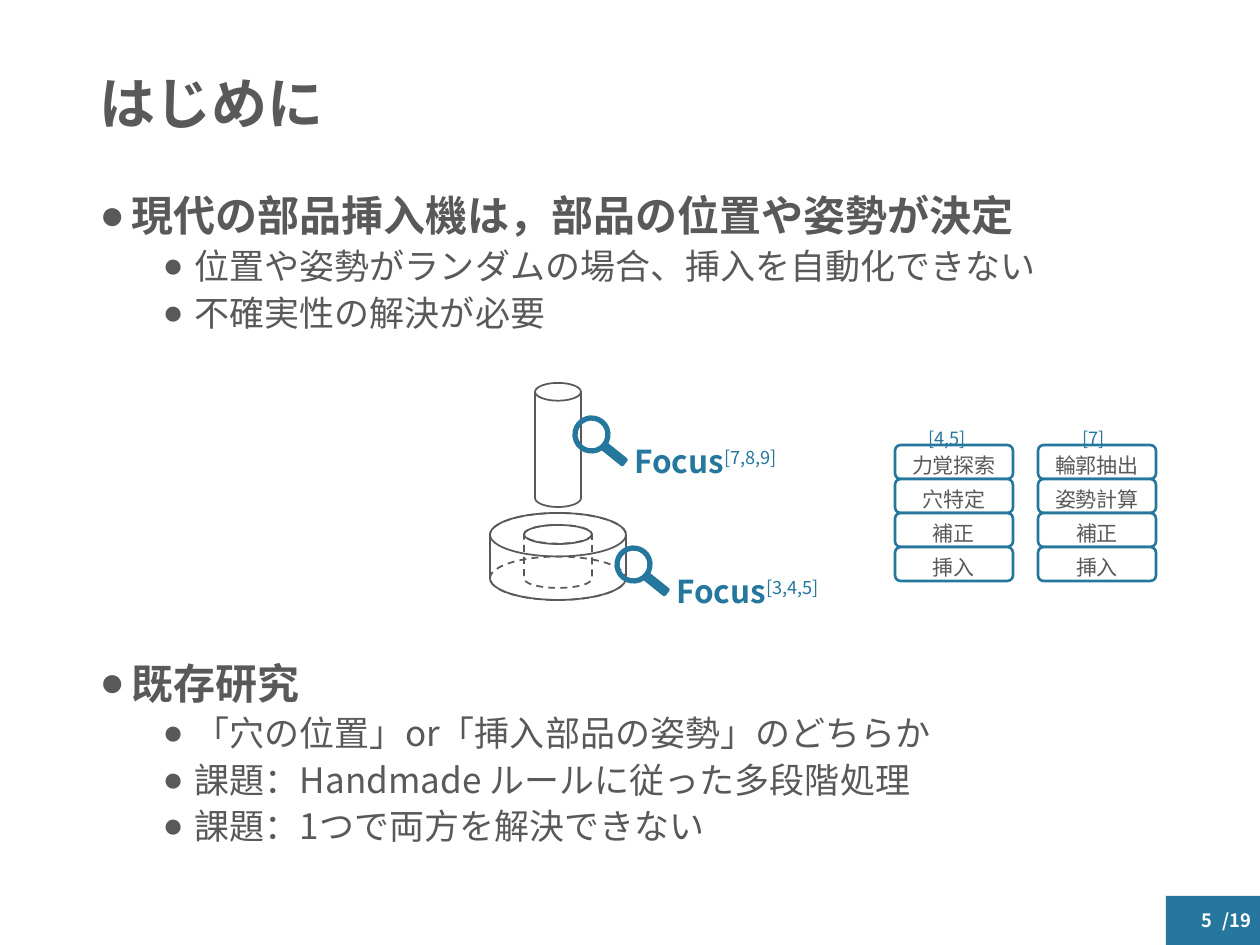
from lxml import etree
from pptx import Presentation
from pptx.dml.color import RGBColor
from pptx.enum.dml import MSO_LINE
from pptx.enum.shapes import MSO_SHAPE
from pptx.enum.text import MSO_ANCHOR, MSO_AUTO_SIZE, PP_ALIGN
from pptx.oxml.ns import qn
from pptx.util import Emu, Pt

CAN, OVAL = MSO_SHAPE.CAN, MSO_SHAPE.OVAL
RECT, ROUND = MSO_SHAPE.RECTANGLE, MSO_SHAPE.ROUNDED_RECTANGLE
DASH = MSO_LINE.DASH
TOP, MIDDLE = MSO_ANCHOR.TOP, MSO_ANCHOR.MIDDLE
LEFT, CENTER, RIGHT = PP_ALIGN.LEFT, PP_ALIGN.CENTER, PP_ALIGN.RIGHT
NONE = MSO_AUTO_SIZE.NONE

BLUE = RGBColor(0x26, 0x77, 0x9E)
GRAY = RGBColor(0x59, 0x59, 0x59)
WHITE = RGBColor(0xFF, 0xFF, 0xFF)
FACE = "Noto Sans CJK JP"
SCALE = 914400 / 126

TITLE = "はじめに"
BODY = [
    ("現代の部品挿入機は，部品の位置や姿勢が決定", [
        "位置や姿勢がランダムの場合、挿入を自動化できない",
        "不確実性の解決が必要",
    ]),
    ("既存研究", [
        "「穴の位置」or「挿入部品の姿勢」のどちらか",
        "課題：Handmade ルールに従った多段階処理",
        "課題：1つで両方を解決できない",
    ]),
]
GAP = 186
LEVELS = [(24, 28, 32, True), (20, 22.5, 95, False)]

PARTS = [
    (CAN, (490, 513, 136, 87), 0.5, None, 0, None),
    (CAN, (524, 525, 68, 63), 0.297, DASH, 0, None),
    (CAN, (490, 513, 136, 87), 0.5, DASH, 180, None),
    (OVAL, (524, 525, 68, 19), None, None, 0, None),
    (CAN, (535, 383, 46, 124), 0.386, None, 0, WHITE),
]
LENSES = [(575, 418, 266, "[7,8,9]"), (617, 548, 224, "[3,4,5]")]
TILT = 308.9
STACKS = [
    (895, 916, 88, "[4,5]", ["力覚探索", "穴特定", "補正", "挿入"]),
    (1038, 1070, 74, "[7]", ["輪郭抽出", "姿勢計算", "補正", "挿入"]),
]
ROW = 34


def px(n):
    return Emu(round(n * SCALE))


def place(item, box):
    item.left, item.top, item.width, item.height = map(px, box)


def style(par, size, color, bold=False, align=LEFT):
    par.alignment = align
    font = par.font
    font.size, font.bold, font.name = Pt(size), bold, FACE
    font.color.rgb = color
    latin = font._element.find(qn("a:latin"))
    east = etree.Element(qn("a:ea"), typeface=FACE)
    latin.addnext(east)


def raise_run(par, text):
    run = par.add_run()
    run.text = text
    run.font.bold = False
    run._r.get_or_add_rPr().set("baseline", "30000")


def label(box, text, size, color, bold=False, align=LEFT, anchor=TOP, note=""):
    frame = slide.shapes.add_textbox(*map(px, box)).text_frame
    frame.word_wrap, frame.vertical_anchor = True, anchor
    par = frame.paragraphs[0]
    style(par, size, color, bold, align)
    if text:
        par.add_run().text = text
    if note:
        raise_run(par, note)
    return frame


def shape(kind, box, fill=None, line=GRAY, width=1, turn=0):
    item = slide.shapes.add_shape(kind, *map(px, box))
    item.shadow.inherit = False
    item.rotation = turn
    if fill is None:
        item.fill.background()
    else:
        item.fill.solid()
        item.fill.fore_color.rgb = fill
    if line is None:
        item.line.fill.background()
    else:
        item.line.color.rgb = line
        item.line.width = Pt(width)
    return item


def bullet(par, text, level, before):
    size, height, indent, bold = LEVELS[level]
    par.text, par.level = text, level
    par.line_spacing, par.space_before = Pt(height), Pt(before)
    props = par._p.get_or_add_pPr()
    props.set("marL", str(px(indent)))
    props.set("indent", str(-px(32)))
    etree.SubElement(props, qn("a:buChar"), char="●")
    style(par, size, GRAY, bold)


deck = Presentation()
deck.slide_width, deck.slide_height = px(1260), px(945)
slide = deck.slides.add_slide(deck.slide_layouts[1])

title, body = slide.placeholders
place(title, (87, 50, 1086, 112))
title.text_frame.text = TITLE
title.text_frame.auto_size = NONE
title.text_frame.vertical_anchor = MIDDLE
title.text_frame.paragraphs[0].line_spacing = 0.9
style(title.text_frame.paragraphs[0], 32, GRAY, True)

place(body, (87, 185, 1086, 709))
frame = body.text_frame
frame.auto_size = NONE
for n, (head, subs) in enumerate(BODY):
    par = frame.add_paragraph() if n else frame.paragraphs[0]
    bullet(par, head, 0, GAP if n else 0)
    for sub in subs:
        bullet(frame.add_paragraph(), sub, 1, 4)

shape(RECT, (1166, 896, 94, 49), BLUE, None)
total = label((1193, 896, 67, 49), "/19", 10.5, WHITE, True, RIGHT, MIDDLE)
total.margin_left = total.margin_right = px(9)
label((941, 896, 284, 49), "5", 10.5, WHITE, True, RIGHT, MIDDLE)

for kind, box, bend, dash, turn, fill in PARTS:
    item = shape(kind, box, fill, turn=turn)
    if bend:
        item.adjustments[0] = bend
    if dash:
        item.line.dash_style = dash

for x, y, wide, note in LENSES:
    shape(OVAL, (x, y, 33, 33), None, BLUE, 3, TILT)
    grip = shape(ROUND, (x + 35, y + 22, 8, 28), BLUE, BLUE, 1, TILT)
    grip.adjustments[0] = 0.17
    label((x + 47, y + 18, wide, 50), "Focus", 18, BLUE, True, note=note)

for x, left, wide, note, steps in STACKS:
    for n, step in enumerate(steps):
        item = shape(ROUND, (x, 445 + n * ROW, 118, ROW), WHITE, BLUE, 1.5)
        item.text_frame.vertical_anchor = TOP
        item.text_frame.text = step
        style(item.text_frame.paragraphs[0], 12, GRAY, align=CENTER)
    label((left, 417, wide, 38), "", 18, BLUE, note=note)

deck.save("out.pptx")
